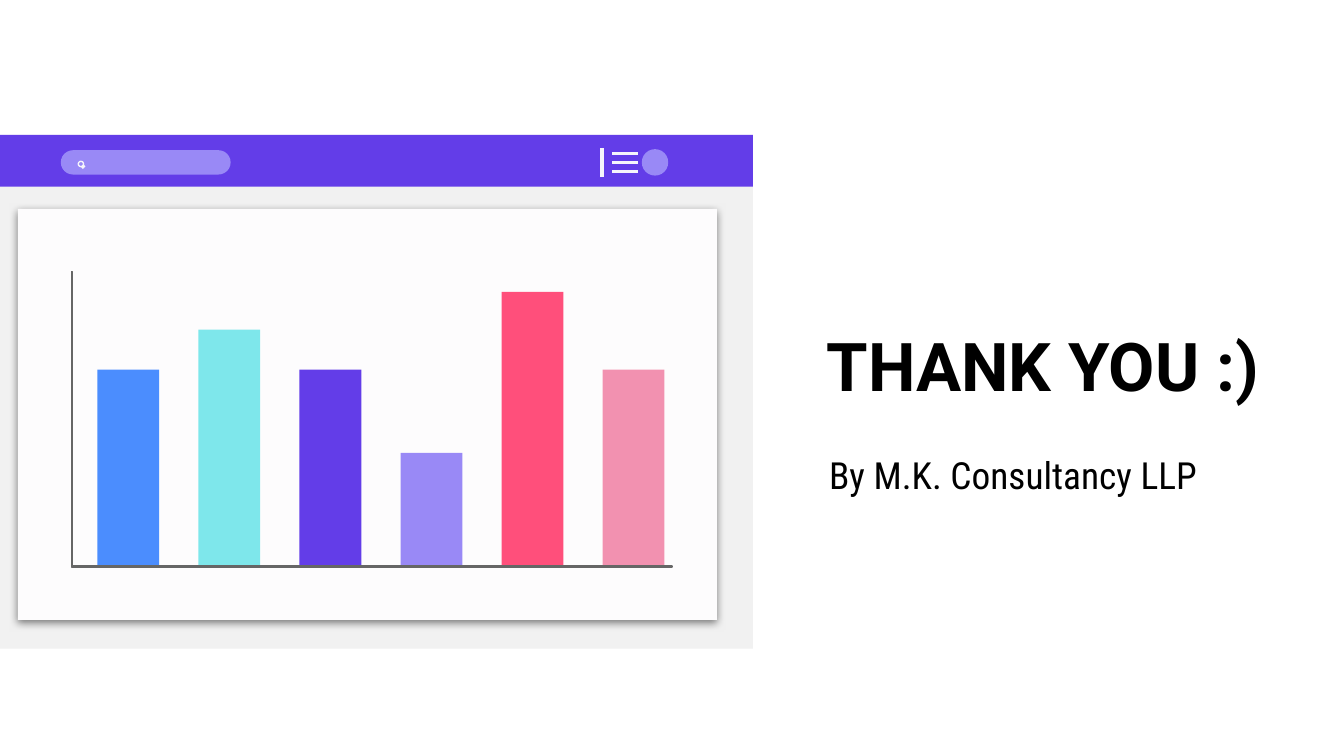
import pptx
import pptx.dml.color
import pptx.enum.shapes
import pptx.enum.text
import pptx.oxml
import pptx.oxml.ns
import pptx.util
from pptx.util import Cm, Pt

RGBColor = pptx.dml.color.RGBColor
SHAPE = pptx.enum.shapes.MSO_SHAPE

BLACK = RGBColor(0x00, 0x00, 0x00)
PANEL = RGBColor(0xF1, 0xF1, 0xF1)
CARD = RGBColor(0xFD, 0xFC, 0xFD)
PALE = RGBColor(0xF6, 0xF5, 0xFB)
GREY = RGBColor(0x66, 0x66, 0x66)
PURPLE = RGBColor(0x63, 0x3D, 0xE8)
LILAC = RGBColor(0x99, 0x89, 0xF6)
BLUE = RGBColor(0x4B, 0x8D, 0xFE)
AQUA = RGBColor(0x7E, 0xE7, 0xEB)
RED = RGBColor(0xFF, 0x4F, 0x7B)
PINK = RGBColor(0xF2, 0x91, 0xB0)

SHADOW = (
    f'<a:effectLst {pptx.oxml.ns.nsdecls("a")}>'
    f'<a:outerShdw blurRad="{Pt(4.5)}" dist="{Pt(1.5)}" dir="5400000" rotWithShape="0">'
    '<a:srgbClr val="000000"><a:alpha val="50000"/></a:srgbClr>'
    '</a:outerShdw></a:effectLst>'
)


def write(frame, text, *, size, font, bold=False, color=BLACK):
    frame.word_wrap = True
    frame.auto_size = pptx.enum.text.MSO_AUTO_SIZE.NONE
    frame.vertical_anchor = pptx.enum.text.MSO_ANCHOR.TOP
    frame.margin_left = frame.margin_right = Cm(0.25)
    frame.margin_top = frame.margin_bottom = Cm(0.25)
    para = frame.paragraphs[0]
    para.alignment = pptx.enum.text.PP_ALIGN.LEFT
    para.line_spacing = 1.15
    para.space_before, para.space_after = Pt(0), Pt(16)
    run = para.add_run()
    run.text = text
    run.font.name, run.font.size = font, Pt(size)
    run.font.bold, run.font.color.rgb = bold, color


class Board:
    """Holds the current slide and draws flat elements, measured in cm."""

    thin = Pt(0)

    def __init__(self, slide):
        self.slide = slide
        self.shapes = slide.shapes

    def title(self, text, x, y, w, h, **style):
        box = self.shapes.title
        box.left, box.top, box.width, box.height = map(Cm, (x, y, w, h))
        write(box.text_frame, text, **style)

    def label(self, text, x, y, w, h, **style):
        box = self.shapes.add_textbox(*map(Cm, (x, y, w, h)))
        write(box.text_frame, text, **style)

    def block(self, x, y, w, h, fill, kind=SHAPE.RECTANGLE):
        shape = self.shapes.add_shape(kind, *map(Cm, (x, y, w, h)))
        shape.shadow.inherit = False
        shape.fill.solid()
        shape.fill.fore_color.rgb = fill
        shape.line.fill.background()
        return shape

    def ring(self, x, y, size, color):
        shape = self.block(x, y, size, size, color, SHAPE.OVAL)
        shape.fill.background()
        shape.line.color.rgb, shape.line.width = color, self.thin

    def card(self, x, y, w, h, fill):
        props = self.block(x, y, w, h, fill).element.spPr
        props.remove(props.find(pptx.oxml.ns.qn("a:effectLst")))
        props.append(pptx.oxml.parse_xml(SHADOW))

    def line(self, x1, y1, x2, y2, color):
        kind = pptx.enum.shapes.MSO_CONNECTOR.STRAIGHT
        line = self.shapes.add_connector(kind, *map(Cm, (x1, y1, x2, y2)))
        line.line.color.rgb, line.line.width = color, self.thin
        props = line.element.spPr
        props.append(props.makeelement(pptx.oxml.ns.qn("a:effectLst"), {}))

    def outline(self, points, color, width):
        first, *rest = [(Cm(x), Cm(y)) for x, y in points]
        path = self.shapes.build_freeform(*first)
        path.add_line_segments(rest, close=True)
        shape = path.convert_to_shape()
        shape.shadow.inherit = False
        shape.fill.background()
        shape.line.color.rgb, shape.line.width = color, Pt(width)


def main():
    deck = pptx.Presentation()
    deck.slide_width, deck.slide_height = Cm(25.4), Cm(14.29)
    board = Board(deck.slides.add_slide(deck.slide_layouts[5]))

    # Closing words
    board.title("THANK YOU :)", 15.37, 5.66, 9.14, 5.46,
                size=36, font="Roboto", bold=True)
    board.label("By M.K. Consultancy LLP", 15.42, 8.18, 8.51, 2.46,
                size=20, font="Roboto Condensed")

    # Window with header and card
    board.block(0, 2.55, 14.23, 9.71, PANEL)
    board.block(0, 2.55, 14.23, 0.98, PURPLE)
    board.card(0.34, 3.95, 13.21, 7.77, CARD)

    # Search field
    field = board.block(1.15, 2.84, 3.21, 0.46, LILAC, SHAPE.ROUNDED_RECTANGLE)
    field.adjustments[0] = 0.5
    board.ring(1.48, 3.05, 0.1, PALE)
    board.line(1.56, 3.14, 1.59, 3.17, PALE)

    # Divider, menu and avatar
    board.line(11.38, 2.8, 11.38, 3.34, PALE)
    for y in (2.9, 3.07, 3.24):
        board.line(11.57, y, 12.05, y, PALE)
    board.block(12.13, 2.82, 0.5, 0.5, LILAC, SHAPE.OVAL)

    # Bars on a common base
    base, left, step, wide = 10.7, 1.84, 1.91, 1.17
    bars = [(3.71, BLUE), (4.47, AQUA), (3.71, PURPLE),
            (2.14, LILAC), (5.18, RED), (3.71, PINK)]
    for i, (high, color) in enumerate(bars):
        board.block(left + i * step, base - high, wide, high, color)

    # Axes
    x, top, right, foot, edge = 1.35, 5.13, 12.7, 10.72, 0.02
    board.outline([(x, top), (x, foot), (right, foot), (right, foot - edge),
                   (x + edge, foot - edge), (x + edge, top)], GREY, 0.75)

    deck.save("out.pptx")


if __name__ == "__main__":
    main()
